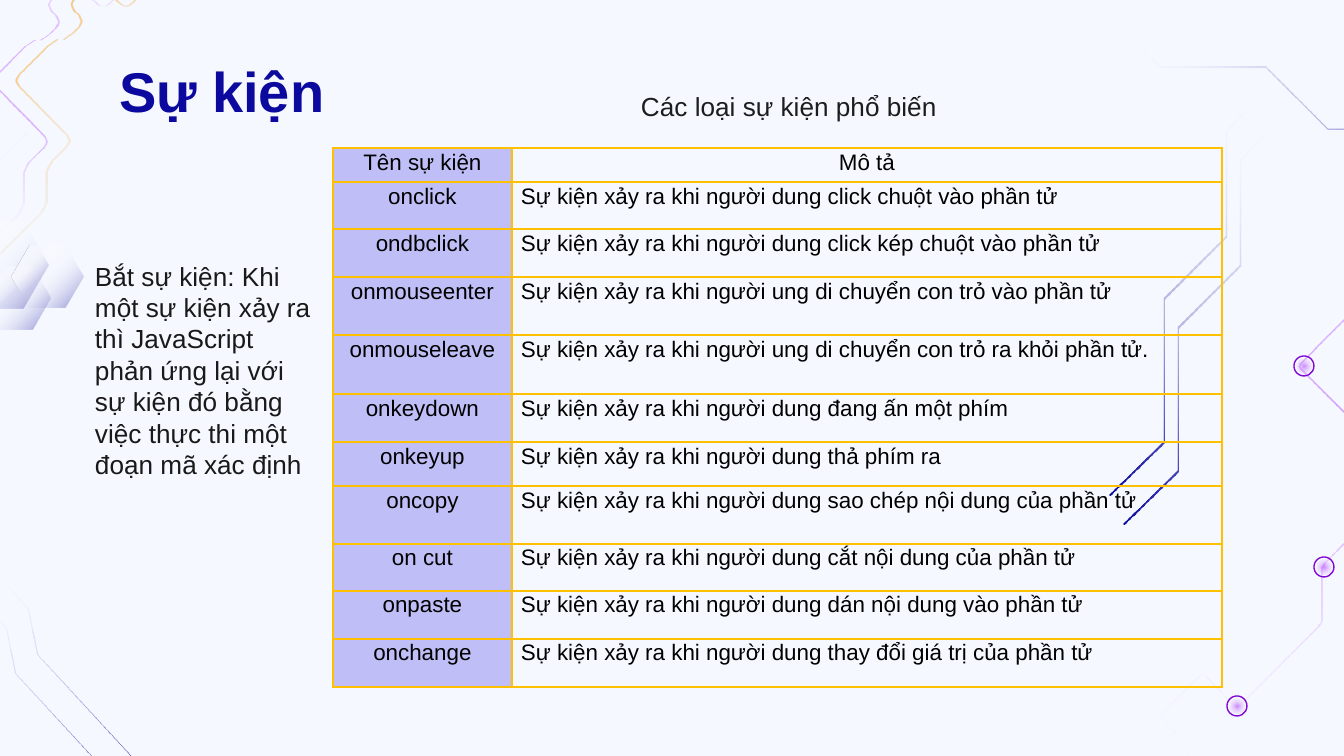
from lxml.etree import SubElement
from pptx import Presentation
from pptx.dml.color import RGBColor
from pptx.enum.shapes import MSO_SHAPE
from pptx.enum.text import MSO_ANCHOR, MSO_AUTO_SIZE, PP_ALIGN
from pptx.oxml import parse_xml
from pptx.oxml.ns import qn
from pptx.util import Pt

PX = 914400 / 134.4
NAVY = RGBColor(0x0C, 0x0A, 0x9E)
PURPLE = RGBColor(0x99, 0x00, 0xFF)
VIOLET = RGBColor(0x82, 0x08, 0xD5)
ORANGE = RGBColor(0xEB, 0x91, 0x09)
AMBER = RGBColor(0xFF, 0x99, 0x00)
GOLD = RGBColor(0xFF, 0xC0, 0x00)
LILAC = RGBColor(0xBF, 0xBE, 0xF7)
PALE = RGBColor(0xF5, 0xF8, 0xFF)
WHITE = RGBColor(0xFF, 0xFF, 0xFF)
BLACK = RGBColor(0, 0, 0)
INK = RGBColor(0x1D, 0x1D, 0x1D)
NOTE_INK = RGBColor(0x19, 0x19, 0x19)

TITLE = "Sự kiện"
SUBTITLE = "Các loại sự kiện phổ biến"
NOTE = ("Bắt sự kiện: Khi một sự kiện xảy ra thì JavaScript phản ứng lại với "
        "sự kiện đó bằng việc thực thi một đoạn mã xác định")
EVENTS = [
    ("Tên sự kiện", "Mô tả", 34),
    ("onclick", "Sự kiện xảy ra khi người dung click chuột vào phần tử", 47),
    ("ondbclick", "Sự kiện xảy ra khi người dung click kép chuột vào phần tử", 48),
    ("onmouseenter", "Sự kiện xảy ra khi người ung di chuyển con trỏ vào phần tử", 58),
    ("onmouseleave", "Sự kiện xảy ra khi người ung di chuyển con trỏ ra khỏi phần tử.", 59),
    ("onkeydown", "Sự kiện xảy ra khi người dung đang ấn một phím", 48),
    ("onkeyup", "Sự kiện xảy ra khi người dung thả phím ra", 44),
    ("oncopy", "Sự kiện xảy ra khi người dung sao chép nội dung của phần tử", 58),
    ("on cut", "Sự kiện xảy ra khi người dung cắt nội dung của phần tử", 47),
    ("onpaste", "Sự kiện xảy ra khi người dung dán nội dung vào phần tử", 48),
    ("onchange", "Sự kiện xảy ra khi người dung thay đổi giá trị của phần tử", 48),
]
COL_WIDTHS = (179, 710)

NAVY_FADE = [(0, NAVY, 100), (100, WHITE, 0)]
NAVY_SOFT = [(0, NAVY, 37), (100, WHITE, 0)]
PURPLE_FADE = [(0, PURPLE, 47), (100, WHITE, 0)]
ORANGE_FADE = [(0, ORANGE, 100), (40, AMBER, 41), (100, WHITE, 0)]
HEX_FADE = [(0, PALE, 100), (22, PALE, 100), (45, WHITE, 0), (100, NAVY, 50)]

RIGHT_TRACE = [(1124, 523), (1178, 470), (1178, 327), (1240, 265), (1240, 160),
               (1273, 126), (1331, 126), (1331, 109)]
TOP_TRACE = [(1109, -24), (1127, -24), (1127, 33), (1160, 66), (1266, 66),
             (1328, 128), (1470, 128), (1525, 183)]
CIRCUIT = [(1623, 40), (1539, 125), (1585, 171), (1438, 317), (1391, 271),
           (1297, 366), (1408, 477), (1321, 565), (1321, 622), (1236, 707),
           (1202, 672), (1159, 715), (1192, 750), (1177, 768), (1192, 786)]
LEFT_TRACE = [(78, -85), (148, -13), (125, 10), (93, -21), (68, 5), (84, 22),
              (66, 40), (54, 40), (13, 81), (72, 141), (46, 167), (46, 208), (0, 254)]
LOW_TRACE = [(160, 840), (148, 776), (37, 655), (28, 609), (-21, 555)]
EDGE_TRACE = [(-43, 26), (-43, 95), (-14, 95), (-14, 172), (26, 132)]


def moved(points, dx, dy):
    return [(x + dx, y + dy) for x, y in points]


TRACES = [
    (RIGHT_TRACE, (1, 2), 0, NAVY_FADE, 270),
    (moved(RIGHT_TRACE, -15, -29), (1, 2), 0, NAVY_FADE, 270),
    (TOP_TRACE, (0, 2), 0, NAVY_FADE, 180),
    (CIRCUIT, (2, 0), 4, PURPLE_FADE, None),
    (LOW_TRACE, (1, 0), 0, NAVY_FADE, 228),
    (moved(LOW_TRACE, -22, 19), (1, 0), 0, NAVY_FADE, 228),
    (LEFT_TRACE, (2, 0), 9, ORANGE_FADE, 45),
    (moved(LEFT_TRACE, -23, 0), (2, 0), 9, PURPLE_FADE, None),
    (EDGE_TRACE, (2, 0), 0, NAVY_SOFT, 45),
]
HEXAGONS = [(-51, 222, 99, 86), (-20, 267, 71, 62), (12, 246, 71, 62)]
NODES = [(1237, 706), (1324, 567), (1304, 366)]


def emu(*lengths):
    return [round(n * PX) for n in lengths]


def gradient(sp, stops, angle):
    sp.shadow.inherit = False
    sp.line.fill.background()
    sp.fill.gradient()
    grad = sp._element.spPr.find(qn("a:gradFill"))
    for child in list(grad):
        grad.remove(child)
    gs_list = SubElement(grad, qn("a:gsLst"))
    for pos, color, alpha in stops:
        gs = SubElement(gs_list, qn("a:gs"), pos=str(pos * 1000))
        clr = SubElement(gs, qn("a:srgbClr"), val=str(color))
        SubElement(clr, qn("a:alpha"), val=str(alpha * 1000))
    if angle is None:
        radial = SubElement(grad, qn("a:path"), path="circle")
        SubElement(radial, qn("a:fillToRect"), l="50000", t="50000", r="50000", b="50000")
    else:
        SubElement(grad, qn("a:lin"), ang=str(angle * 60000), scaled="0")


def rounded(points, radius):
    if not radius:
        return points
    out = [points[0]]
    for a, b, c in zip(points, points[1:], points[2:]):
        ends = []
        for q in (a, c):
            dist = ((q[0] - b[0]) ** 2 + (q[1] - b[1]) ** 2) ** 0.5
            k = min(radius / dist, 0.5)
            ends.append((b[0] + (q[0] - b[0]) * k, b[1] + (q[1] - b[1]) * k))
        for t in (0, 0.25, 0.5, 0.75, 1):
            weights = (1 - t) ** 2, 2 * t * (1 - t), t * t
            out.append(tuple(sum(w * q[i] for w, q in zip(weights, (ends[0], b, ends[1])))
                             for i in (0, 1)))
    return out + [points[-1]]


def outline(points, stops, angle):
    builder = s.shapes.build_freeform(*points[0], scale=PX)
    builder.add_line_segments(points[1:], close=True)
    gradient(builder.convert_to_shape(), stops, angle)


def write(tf, text, size, color, bold=False, **fmt):
    p = tf.paragraphs[0]
    for name, value in fmt.items():
        setattr(p, name, value)
    r = p.add_run()
    r.text = text
    for name, value in {"name": "Arial", "size": Pt(size), "bold": bold}.items():
        setattr(r.font, name, value)
    r.font.color.rgb = color
    return p


def text_box(sp, box, *args, **fmt):
    sp.left, sp.top, sp.width, sp.height = emu(*box)
    tf = sp.text_frame
    margins = dict.fromkeys(("margin_left", "margin_top", "margin_right", "margin_bottom"),
                            emu(13)[0])
    for name, value in {**margins, "word_wrap": True, "auto_size": MSO_AUTO_SIZE.NONE,
                        "vertical_anchor": MSO_ANCHOR.TOP}.items():
        setattr(tf, name, value)
    return write(tf, *args, alignment=PP_ALIGN.LEFT, space_before=Pt(0), **fmt)


def border(cell):
    tc_pr = cell._tc.get_or_add_tcPr()
    for i, side in enumerate(("lnL", "lnR", "lnT", "lnB")):
        tc_pr.insert(i, parse_xml(
            f'<a:{side} xmlns:a="http://schemas.openxmlformats.org/drawingml/2006/main" '
            f'w="12700"><a:solidFill><a:srgbClr val="{GOLD}"/></a:solidFill></a:{side}>'))


prs = Presentation()
prs.slide_width, prs.slide_height = emu(1344, 756)
s = prs.slides.add_slide(prs.slide_layouts[1])
s.background.fill.solid()
s.background.fill.fore_color.rgb = PALE

for points, shift, radius, stops, angle in TRACES:
    line = rounded(points, radius)
    outline(line + moved(line, *shift)[::-1], stops, angle)

for x, y, w, h in HEXAGONS:
    outline([(x, y + h / 2), (x + w / 4, y), (x + w * 3 / 4, y), (x + w, y + h / 2),
             (x + w * 3 / 4, y + h), (x + w / 4, y + h)], HEX_FADE, 45)

for x, y in NODES:
    ring, core = (s.shapes.add_shape(MSO_SHAPE.OVAL, *emu(x - d / 2, y - d / 2, d, d))
                  for d in (20, 15))
    ring.shadow.inherit = False
    ring.fill.background()
    ring.line.color.rgb = VIOLET
    ring.line.width = Pt(0.75)
    gradient(core, PURPLE_FADE, None)

text_box(s.shapes.title, (106, 43, 1133, 85), TITLE, 30, NAVY, True)
p = text_box(s.placeholders[1], (628, 77, 323, 60), SUBTITLE, 14, INK)
p_pr = p._p.get_or_add_pPr()
p_pr.set("marL", "0")
p_pr.set("indent", "0")
SubElement(p_pr, qn("a:buNone"))

heights = [h for _, _, h in EVENTS]
frame = s.shapes.add_table(len(EVENTS), 2, *emu(333, 148, sum(COL_WIDTHS), sum(heights)))
table = frame.table
table.first_row = table.horz_banding = False
for col, width in zip(table.columns, emu(*COL_WIDTHS)):
    col.width = width
for i, (row, height) in enumerate(zip(table.rows, emu(*heights))):
    row.height = height
    for j, cell in enumerate(row.cells):
        for name, value in zip(("left", "top", "right", "bottom"), emu(9, 0, 9, 0)):
            setattr(cell, "margin_" + name, value)
        centred = i == 0 or j == 0
        write(cell.text_frame, EVENTS[i][j], 12, BLACK, line_spacing=1.07, space_after=Pt(8),
              alignment=PP_ALIGN.CENTER if centred else PP_ALIGN.LEFT)
        if j == 0:
            cell.fill.solid()
            cell.fill.fore_color.rgb = LILAC
        else:
            cell.fill.background()
        border(cell)

note = s.shapes.add_textbox(0, 0, 0, 0)
text_box(note, (82, 247, 242, 257), NOTE, 14, NOTE_INK)
prs.save("out.pptx")
